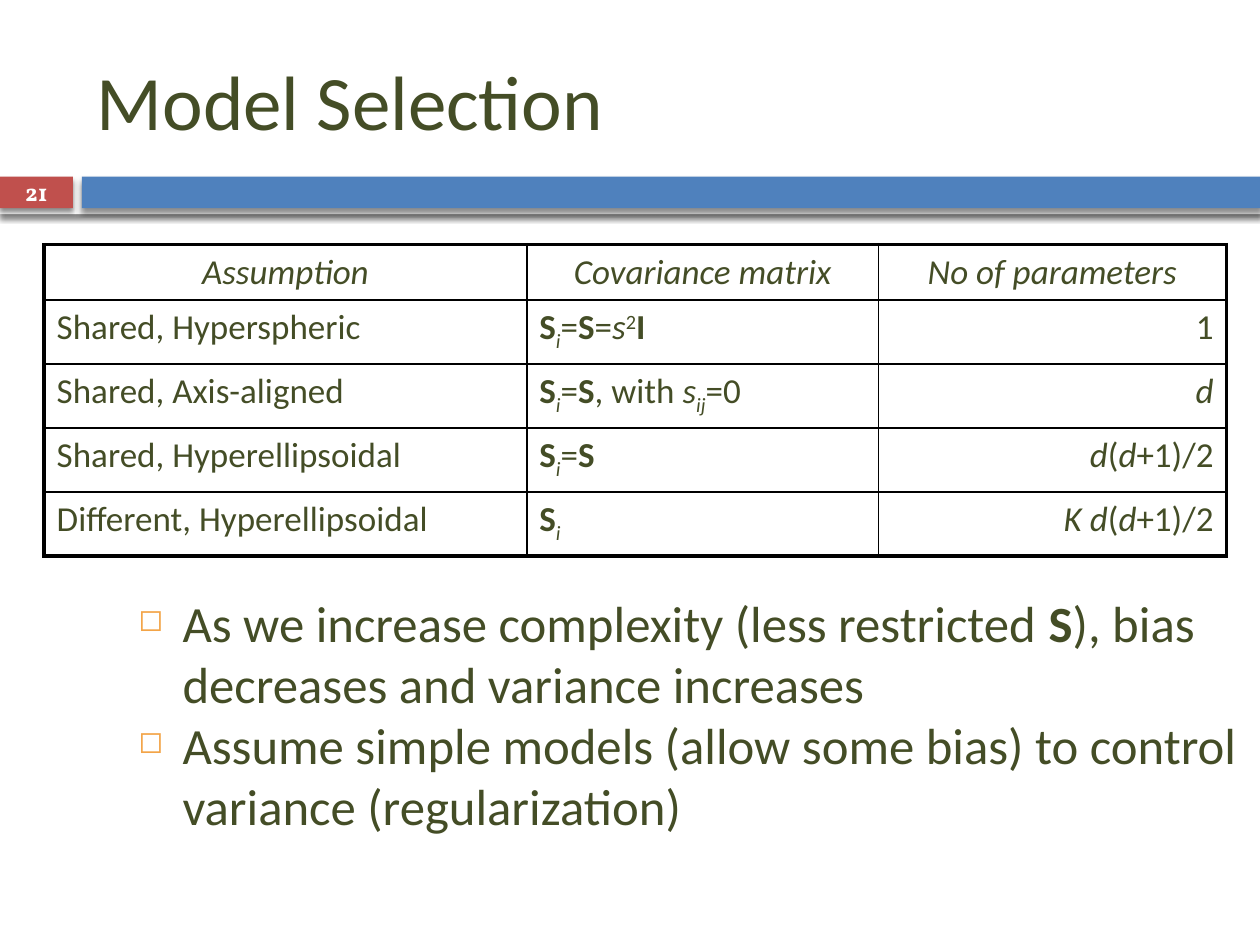
from dataclasses import dataclass

from lxml.etree import SubElement
from pptx import Presentation
from pptx.dml.color import RGBColor
from pptx.enum.shapes import MSO_SHAPE as Shape
from pptx.enum.text import MSO_ANCHOR as Anchor, PP_ALIGN as Align
from pptx.oxml import parse_xml
from pptx.oxml.ns import nsdecls, qn
from pptx.util import Cm, Pt

INK = "444D26"
THIN, THICK = 0.96, 2.21


@dataclass(frozen=True)
class Box:
    left: float
    top: float
    width: float
    height: float

    def lengths(self) -> list[Cm]:
        return [Cm(value) for value in (self.left, self.top, self.width, self.height)]


@dataclass(frozen=True)
class Style:
    size: float
    font: str = "Calibri"
    color: str = INK


@dataclass(frozen=True)
class Run:
    text: str
    bold: bool = False
    italic: bool = False
    baseline: int = 0


def plain(text: str) -> Run:
    return Run(text)


def bold(text: str) -> Run:
    return Run(text, bold=True)


def italic(text: str) -> Run:
    return Run(text, italic=True)


def subscript(text: str) -> Run:
    return Run(text, italic=True, baseline=-25000)


BANDS = [
    (Box(0, 3.43, 25.4, 0.89), "FFFFFF"),
    (Box(0, 3.56, 1.47, 0.64), "C0504D"),
    (Box(1.65, 3.56, 23.75, 0.64), "4F81BD"),
]
COLUMN_WIDTHS = [9.73, 7.09, 7.01]
ROW_HEIGHTS = [1.12] + [1.29] * 4
COLUMN_ALIGNMENTS = [Align.LEFT, Align.LEFT, Align.RIGHT]

S_I = [bold("S"), subscript("i")]
SHARED = [*S_I, plain("="), bold("S")]
TRIANGLE = [plain("("), italic("d"), plain("+1)/2")]
ROWS = [
    [[italic("Assumption")], [italic("Covariance matrix")], [italic("No of parameters")]],
    [[plain("Shared, Hyperspheric")],
     [*SHARED, plain("="), italic("s"), Run("2", baseline=30000), bold("I")],
     [plain("1")]],
    [[plain("Shared, Axis-aligned")],
     [*SHARED, plain(", with "), italic("s"), subscript("ij"), plain("=0")],
     [italic("d")]],
    [[plain("Shared, Hyperellipsoidal")], SHARED, [italic("d"), *TRIANGLE]],
    [[plain("Different, Hyperellipsoidal")], S_I, [italic("K d"), *TRIANGLE]],
]
BULLETS = [
    [plain("As we increase complexity (less restricted "), bold("S"),
     plain("), bias decreases and variance increases")],
    [plain("Assume simple models (allow some bias) to control variance (regularization)")],
]


def rgb(color: str) -> RGBColor:
    return RGBColor.from_string(color)


def write_runs(paragraph, runs: list[Run], style: Style) -> None:
    for item in runs:
        run = paragraph.add_run()
        run.text = item.text
        font = run.font
        font.name, font.size = style.font, Pt(style.size)
        font.color.rgb = rgb(style.color)
        font.bold, font.italic = item.bold, item.italic
        if item.baseline:
            font._element.set("baseline", str(item.baseline))


def add_band(slide, box: Box, color: str) -> None:
    band = slide.shapes.add_shape(Shape.RECTANGLE, *box.lengths())
    band.fill.solid()
    band.fill.fore_color.rgb = rgb(color)
    band.line.fill.background()
    band.shadow.inherit = False
    effects = band._element.spPr.find(qn("a:effectLst"))
    shadow = SubElement(effects, qn("a:outerShdw"), blurRad=str(Pt(3)),
                        dist=str(Pt(2.4)), dir="5400000", rotWithShape="0")
    shadow_color = SubElement(shadow, qn("a:srgbClr"), val="000000")
    SubElement(shadow_color, qn("a:alpha"), val="45000")


def add_text(slide, box: Box, paragraphs: list[list[Run]], style: Style,
             anchor=Anchor.MIDDLE, alignment=Align.LEFT) -> list:
    """Add a wrapping text box and return its paragraphs."""
    text_frame = slide.shapes.add_textbox(*box.lengths()).text_frame
    text_frame.word_wrap = True
    text_frame.vertical_anchor = anchor
    for index, runs in enumerate(paragraphs):
        paragraph = text_frame.add_paragraph() if index else text_frame.paragraphs[0]
        paragraph.alignment = alignment
        write_runs(paragraph, runs, style)
    return list(text_frame.paragraphs)


def add_bullet(paragraph) -> None:
    properties = paragraph._p.get_or_add_pPr()
    properties.set("marL", str(Cm(0.89)))
    properties.set("indent", str(-Cm(0.89)))
    color = SubElement(properties, qn("a:buClr"))
    SubElement(color, qn("a:srgbClr"), val="F3A447")
    SubElement(properties, qn("a:buSzPct"), val="60000")
    SubElement(properties, qn("a:buChar"), char="◻")


def set_borders(cell, widths: dict[str, float]) -> None:
    properties = cell._tc.get_or_add_tcPr()
    for index, (side, width) in enumerate(widths.items()):
        properties.insert(index, parse_xml(
            f'<a:ln{side} {nsdecls("a")} w="{Pt(width)}"><a:solidFill>'
            f'<a:srgbClr val="000000"/></a:solidFill></a:ln{side}>'))


def add_assumption_table(slide) -> None:
    box = Box(0.89, 4.93, sum(COLUMN_WIDTHS), sum(ROW_HEIGHTS))
    last_row, last_column = len(ROWS) - 1, len(COLUMN_WIDTHS) - 1
    table = slide.shapes.add_table(len(ROWS), len(COLUMN_WIDTHS), *box.lengths()).table
    table.first_row = table.horz_banding = False
    for column, width in zip(table.columns, COLUMN_WIDTHS):
        column.width = Cm(width)
    for row, height in zip(table.rows, ROW_HEIGHTS):
        row.height = Cm(height)
    for r, row_runs in enumerate(ROWS):
        for c, runs in enumerate(row_runs):
            cell = table.cell(r, c)
            cell.fill.background()
            paragraph = cell.text_frame.paragraphs[0]
            paragraph.alignment = COLUMN_ALIGNMENTS[c] if r else Align.CENTER
            write_runs(paragraph, runs, Style(20))
            outer = {"L": c == 0, "R": c == last_column, "T": r == 0, "B": r == last_row}
            set_borders(cell, {side: THICK if edge else THIN for side, edge in outer.items()})


def main() -> None:
    presentation = Presentation()
    presentation.slide_width, presentation.slide_height = Cm(25.4), Cm(19.05)
    slide = presentation.slides.add_slide(presentation.slide_layouts[6])
    for box, color in BANDS:
        add_band(slide, box, color)
    add_text(slide, Box(1.7, 0.64, 22.66, 2.74), [[plain("Model Selection")]], Style(44))
    add_text(slide, Box(0, 3.53, 1.47, 0.69), [[bold("21")]],
             Style(14, "Vollkorn", "FFFFFF"), alignment=Align.CENTER)
    add_assumption_table(slide)
    for paragraph in add_text(slide, Box(2.54, 11.81, 22.86, 5.2), BULLETS, Style(29), Anchor.TOP):
        add_bullet(paragraph)
    presentation.save("out.pptx")


if __name__ == "__main__":
    main()
